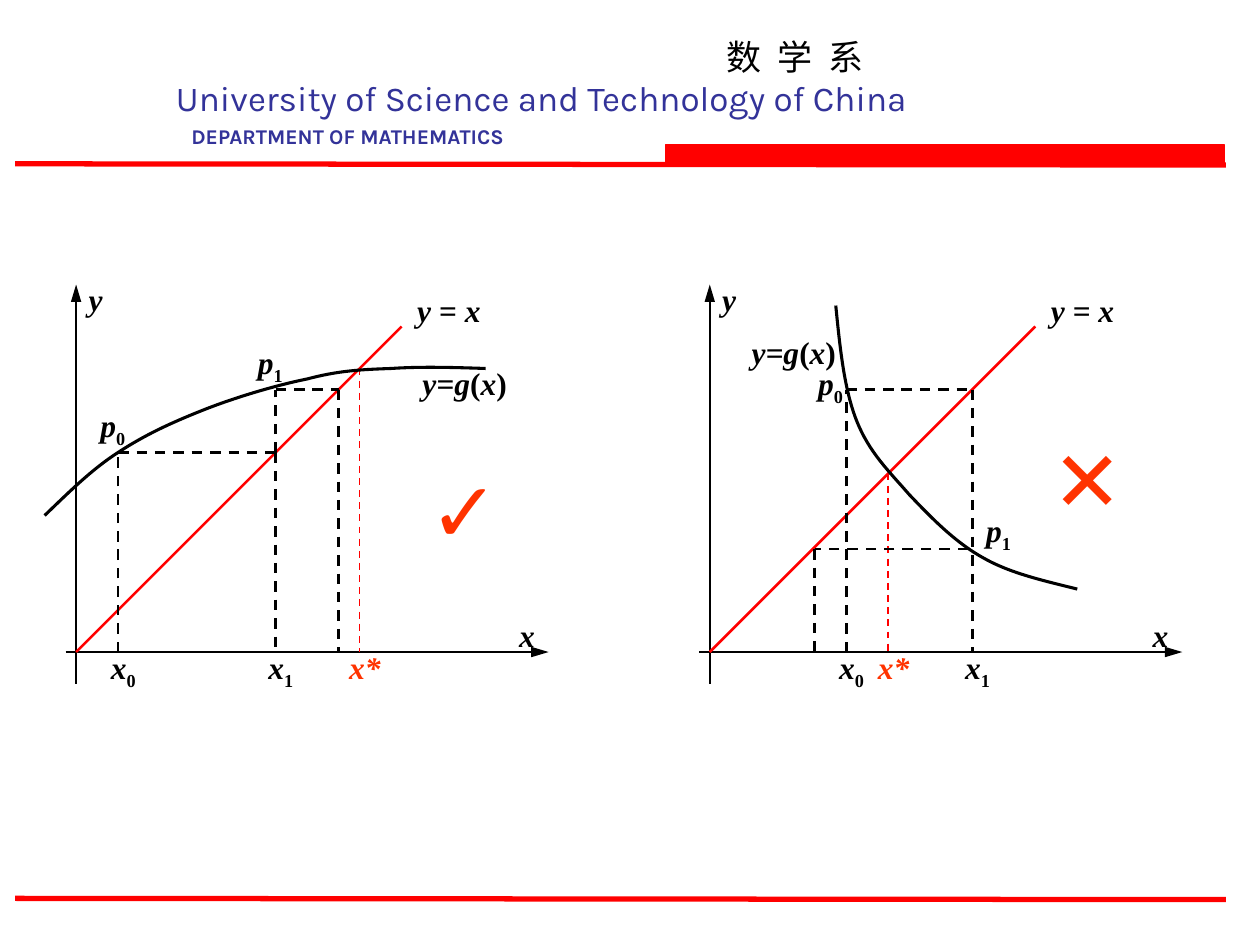
from itertools import groupby
from lxml.etree import SubElement as Sub
from pptx import Presentation
from pptx.dml.color import RGBColor
from pptx.enum.dml import MSO_LINE as Dash
from pptx.enum.shapes import MSO_CONNECTOR as Link, MSO_SHAPE as Kind
from pptx.enum.text import PP_ALIGN as Align
from pptx.oxml.ns import qn
from pptx.util import Inches, Pt

RED, MARK, BLUE, BLACK = "FF0000", "FF3300", "333399", "000000"
UNIT = 1 / 12
LEFT = {
    "curve": [(-3, 13), (-0.7, 15.2), (1.5, 17.4), (4, 19), (6.6, 20.7),
              (9, 21.8), (12, 23), (15, 24.2), (19, 25.4), (22, 26),
              (25, 26.8), (27.2, 26.9), (30, 27), (32.9, 27.2), (36, 27.1),
              (39, 27)],
    "root": 27,
    "steps": [[(4, 0), (4, 19), (19, 19), (19, 0)],
              [(19, 19), (19, 25), (25, 25), (25, 0)]],
    "labels": [("y=g(x)", 31, 28, 12), ("x0", 2, 1, 5), ("p0", 1, 24, 5),
               ("x1", 17, 1, 5), ("p1", 16, 30, 5)],
    "star": 24,
    "mark": ("✓", 31, 19, True),
}
RIGHT = {
    "curve": [(12, 33), (12.4, 29), (12.8, 25), (14, 22), (15.2, 19),
              (17, 17.3), (19, 15), (21, 12.9), (23.3, 10.5), (26, 9),
              (28.6, 7.5), (31.8, 6.8), (35, 6)],
    "root": 17,
    "steps": [[(13, 0), (13, 25), (25, 25), (25, 0)],
              [(24.6, 9.8), (10, 9.8), (10, 0)]],
    "labels": [("y=g(x)", 2, 31, 12), ("x0", 11, 1, 5), ("p0", 9, 28, 5),
               ("x1", 23, 1, 5), ("p1", 25, 14, 5)],
    "star": 14,
    "mark": ("✕", 30, 22, False),
}


def hue(part, code):
    part.rgb = RGBColor.from_string(code)


def style(part, form):
    for key, val in form.items():
        setattr(part, key, val)


def rule(slide, start, end, code, width, dash=None, arrow=False):
    line = slide.shapes.add_connector(
        Link.STRAIGHT, *[Inches(val) for val in (*start, *end)])
    hue(line.line.color, code)
    style(line.line, {"width": Pt(width), "dash_style": dash})
    if arrow:
        Sub(line.line._get_or_add_ln(), qn("a:tailEnd"), type="triangle",
            len="lg")
    Sub(line.element.spPr, qn("a:effectLst"))


def words(slide, box, parts, code, form, align=Align.CENTER, wrap=True):
    frame = slide.shapes.add_textbox(*[Inches(val) for val in box]).text_frame
    frame.word_wrap = wrap
    para = frame.paragraphs[0]
    para.alignment = align
    for text, more in parts:
        run = para.add_run()
        run.text = text
        style(run.font, form)
        hue(run.font.color, code)
        props = run._r.get_or_add_rPr()
        for key, val in more.items():
            props.set(key, val)
        Sub(props, qn("a:ea"), typeface=form["name"])


def header(slide, wide, high):
    lines = [
        ("数 学 系", (5.4, 0.23, 1.82, 0.44), BLACK, Align.CENTER,
         {"spc": "225"}, {"name": "Noto Sans CJK SC", "size": Pt(20)}),
        ("University of Science and Technology of China",
         (1.2, 0.56, 6.2, 0.44), BLUE, Align.CENTER, {},
         {"name": "Karla", "size": Pt(20)}),
        ("DEPARTMENT OF MATHEMATICS", (1.42, 0.93, 2.85, 0.3), BLUE,
         Align.LEFT, {}, {"name": "Karla", "size": Pt(12), "bold": True}),
    ]
    for text, box, code, align, more, form in lines:
        words(slide, box, [(text, more)], code, form, align, False)
    for top in (1.3, 7.13):
        rule(slide, (0.012 * wide, top), (0.973 * wide, top + 0.01), RED, 3)
    bar = slide.shapes.add_shape(
        Kind.RECTANGLE, *[Inches(val) for val in (5.28, 1.15, 4.44, 0.15)])
    bar.shadow.inherit = False
    bar.fill.solid()
    hue(bar.fill.fore_color, RED)
    hue(bar.line.color, RED)
    bar.line.width = Pt(0.75)


def bend(slide, dots):
    pen = slide.shapes.build_freeform(*dots[0])
    pen.add_line_segments(dots[1:], close=False)
    curve = pen.convert_to_shape()
    track = next(curve.element.iter(qn("a:path")))
    legs = track.findall(qn("a:lnTo"))
    for at in range(0, len(legs), 3):
        arc = Sub(track, qn("a:cubicBezTo"))
        for leg in legs[at:at + 3]:
            arc.append(leg[0])
            track.remove(leg)
    curve.shadow.inherit = False
    curve.fill.background()
    hue(curve.line.color, BLACK)
    curve.line.width = Pt(1.75)


def graph(slide, left, base, data):
    def spot(dot):
        return left + dot[0] * UNIT, base - dot[1] * UNIT

    def draw(start, end, *rest, **more):
        rule(slide, spot(start), spot(end), *rest, **more)

    def label(text, col, row, cols, code=BLACK, align=Align.CENTER):
        form = {"name": "Times New Roman", "size": Pt(18), "bold": True}
        parts = []
        for plain, group in groupby(text, lambda sign: sign in "()01"):
            bit = "".join(group)
            more = {"i": "0" if plain else "1"}
            if bit.isdigit():
                more["baseline"] = "-25000"
            parts.append((bit, more))
        words(slide, (*spot((col, row)), cols * UNIT, 0.4), parts, code,
              form, align)

    draw((-1, 0), (45, 0), BLACK, 1, arrow=True)
    draw((0, -3), (0, 35), BLACK, 1, arrow=True)
    label("x", 41, 4, 4, align=Align.LEFT)
    label("y", 0, 36, 4, align=Align.LEFT)
    draw((0, 0), (31, 31), RED, 1.5)
    label("y = x", 31, 35, 9)
    root = data["root"]
    draw((root, root), (root, 0), RED, 1, Dash.DASH)
    label("x*", data["star"], 1, 7, MARK)
    bend(slide, [tuple(Inches(val) for val in spot(dot))
                 for dot in data["curve"]])
    for walk in data["steps"]:
        for start, end in zip(walk, walk[1:]):
            draw(start, end, BLACK, 1.5, Dash.DASH)
    for item in data["labels"]:
        label(*item)
    sign, col, row, bold = data["mark"]
    words(slide, (*spot((col, row)), 12 * UNIT, 0.9), [(sign, {})], MARK,
          {"name": "Arial", "size": Pt(48), "bold": bold})


def main():
    deck = Presentation()
    wide, high = 10, 7.5
    style(deck, {"slide_width": Inches(wide), "slide_height": Inches(high)})
    slide = deck.slides.add_slide(deck.slide_layouts[6])
    header(slide, wide, high)
    for col, data in ((7.25, LEFT), (67.6, RIGHT)):
        graph(slide, col * UNIT, 0.69 * high, data)
    deck.save("out.pptx")


if __name__ == "__main__":
    main()
